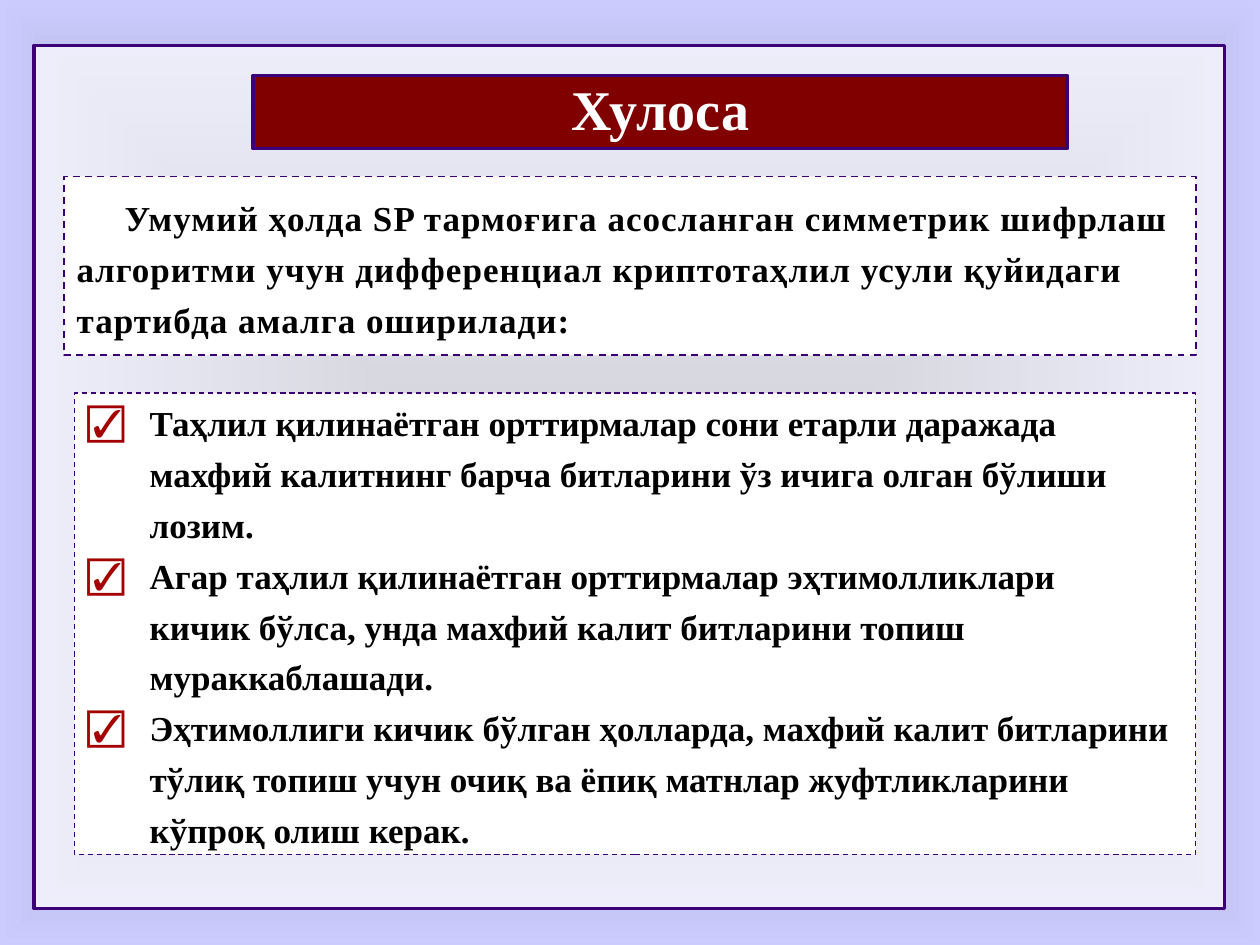
from dataclasses import dataclass

from pptx import Presentation
from pptx import oxml
from pptx.dml.color import RGBColor
from pptx.enum import dml, shapes, text
from pptx.util import Inches, Pt


@dataclass(frozen=True)
class Theme:
    font: str = "Times New Roman"
    title_size: int = 32
    body_size: int = 20
    edge: str = "3B0076"
    banner: str = "800000"
    check: str = "A40000"
    paper: str = "FFFFFF"
    ink: str = "000000"
    glow_inner: str = "5E5E76"
    glow_outer: str = "CCCCFF"
    line_spacing: float = 1.21


THEME = Theme()
NS = oxml.ns.nsdecls("a", "p")

TITLE = "Хулоса"
INTRO = (
    "Умумий ҳолда SP тармоғига асосланган симметрик шифрлаш\v"
    "aлгоритми учун дифференциал криптотаҳлил усули қуйидаги\v"
    "тартибда амалга оширилади:"
)
CONCLUSIONS = [
    "Таҳлил қилинаётган орттирмалар сони етарли даражада\v"
    "махфий калитнинг барча битларини ўз ичига олган бўлиши\v"
    "лозим.",
    "Агар таҳлил қилинаётган орттирмалар эҳтимолликлари\v"
    "кичик бўлса, унда махфий калит битларини топиш\v"
    "мураккаблашади.",
    "Эҳтимоллиги кичик бўлган ҳолларда, махфий калит битларини\v"
    "тўлиқ топиш учун очиқ ва ёпиқ матнлар жуфтликларини\v"
    "кўпроқ олиш керак.",
]


def set_attrs(obj, values):
    for name, value in values.items():
        setattr(obj, name, value)


def paint_background(s):
    bg = oxml.parse_xml(
        f'<p:bg {NS}><p:bgPr><a:gradFill><a:gsLst>'
        f'<a:gs pos="0"><a:srgbClr val="{THEME.glow_inner}"/></a:gs>'
        f'<a:gs pos="100000"><a:srgbClr val="{THEME.glow_outer}"/></a:gs>'
        '</a:gsLst><a:path path="rect">'
        '<a:fillToRect l="50000" t="50000" r="50000" b="50000"/></a:path>'
        '</a:gradFill><a:effectLst/></p:bgPr></p:bg>'
    )
    s.element.cSld.insert(0, bg)


def style_box(sp, fill, width, dashed=False):
    sp.fill.solid()
    sp.fill.fore_color.rgb = RGBColor.from_string(fill)
    sp.line.color.rgb = RGBColor.from_string(THEME.edge)
    sp.line.width = Pt(width)
    if dashed:
        sp.line.dash_style = dml.MSO_LINE.DASH


def add_box(s, box, width, dashed=False):
    sp = s.shapes.add_shape(shapes.MSO_SHAPE.RECTANGLE, *map(Inches, box))
    sp.shadow.inherit = False
    style_box(sp, THEME.paper, width, dashed)
    return sp


def add_panel(s):
    sp = add_box(s, (0.27, 0.36, 9.45, 6.85), 2)
    color = sp.element.spPr.find(".//" + oxml.ns.qn("a:srgbClr"))
    color.append(oxml.parse_xml(f'<a:alpha {NS} val="72000"/>'))


def format_frame(tf, anchor, top=0.05, bottom=0.05):
    set_attrs(tf, {
        "word_wrap": True,
        "auto_size": text.MSO_AUTO_SIZE.NONE,
        "vertical_anchor": anchor,
        "margin_left": Inches(0.1),
        "margin_right": Inches(0.1),
        "margin_top": Inches(top),
        "margin_bottom": Inches(bottom),
    })


def format_paragraph(p, align, size, color):
    p.alignment = align
    for r in p.runs:
        set_attrs(r.font, {"name": THEME.font, "size": Pt(size), "bold": True})
        r.font.color.rgb = RGBColor.from_string(color)


def format_body(p):
    format_paragraph(p, text.PP_ALIGN.LEFT, THEME.body_size, THEME.ink)
    p.line_spacing = THEME.line_spacing


def add_title(s):
    sp = s.shapes.title
    set_attrs(sp, {"left": Inches(2.01), "top": Inches(0.6),
                   "width": Inches(6.46), "height": Inches(0.58)})
    style_box(sp, THEME.banner, 2)
    tf = sp.text_frame
    format_frame(tf, text.MSO_ANCHOR.MIDDLE, top=0, bottom=0.06)
    tf.text = TITLE
    format_paragraph(tf.paragraphs[0], text.PP_ALIGN.CENTER,
                     THEME.title_size, THEME.paper)
    # Bring the banner in front of the panel
    s.shapes.element.append(sp.element)


def add_intro(s):
    tf = add_box(s, (0.51, 1.4, 8.98, 1.42), 1, dashed=True).text_frame
    format_frame(tf, text.MSO_ANCHOR.MIDDLE, bottom=0.08)
    p = tf.paragraphs[0]
    p.text = INTRO
    p._p.get_or_add_pPr().set("indent", str(Inches(0.38)))
    format_body(p)
    # Loosen the letters so that the lines fill the box
    for r in p.runs:
        r.font._element.set("spc", "60")


def add_check_bullet(p):
    pPr = p._p.get_or_add_pPr()
    pPr.set("marL", str(Inches(0.5)))
    pPr.set("indent", str(-Inches(0.5)))
    for xml in (
        f'<a:buClr {NS}><a:srgbClr val="{THEME.check}"/></a:buClr>',
        f'<a:buSzPct {NS} val="110000"/>',
        f'<a:buFont {NS} typeface="{THEME.font}"/>',
        f'<a:buChar {NS} char="☑"/>',
    ):
        pPr.append(oxml.parse_xml(xml))


def add_conclusions(s):
    tf = add_box(s, (0.59, 3.12, 8.9, 3.66), 0.75, dashed=True).text_frame
    format_frame(tf, text.MSO_ANCHOR.TOP, top=0, bottom=0)
    for i, item in enumerate(CONCLUSIONS):
        p = tf.add_paragraph() if i else tf.paragraphs[0]
        p.text = item
        add_check_bullet(p)
        format_body(p)


def main():
    prs = Presentation()
    set_attrs(prs, {"slide_width": Inches(10), "slide_height": Inches(7.5)})
    s = prs.slides.add_slide(prs.slide_layouts[5])
    paint_background(s)
    add_panel(s)
    add_title(s)
    add_intro(s)
    add_conclusions(s)
    prs.save("out.pptx")


if __name__ == "__main__":
    main()
